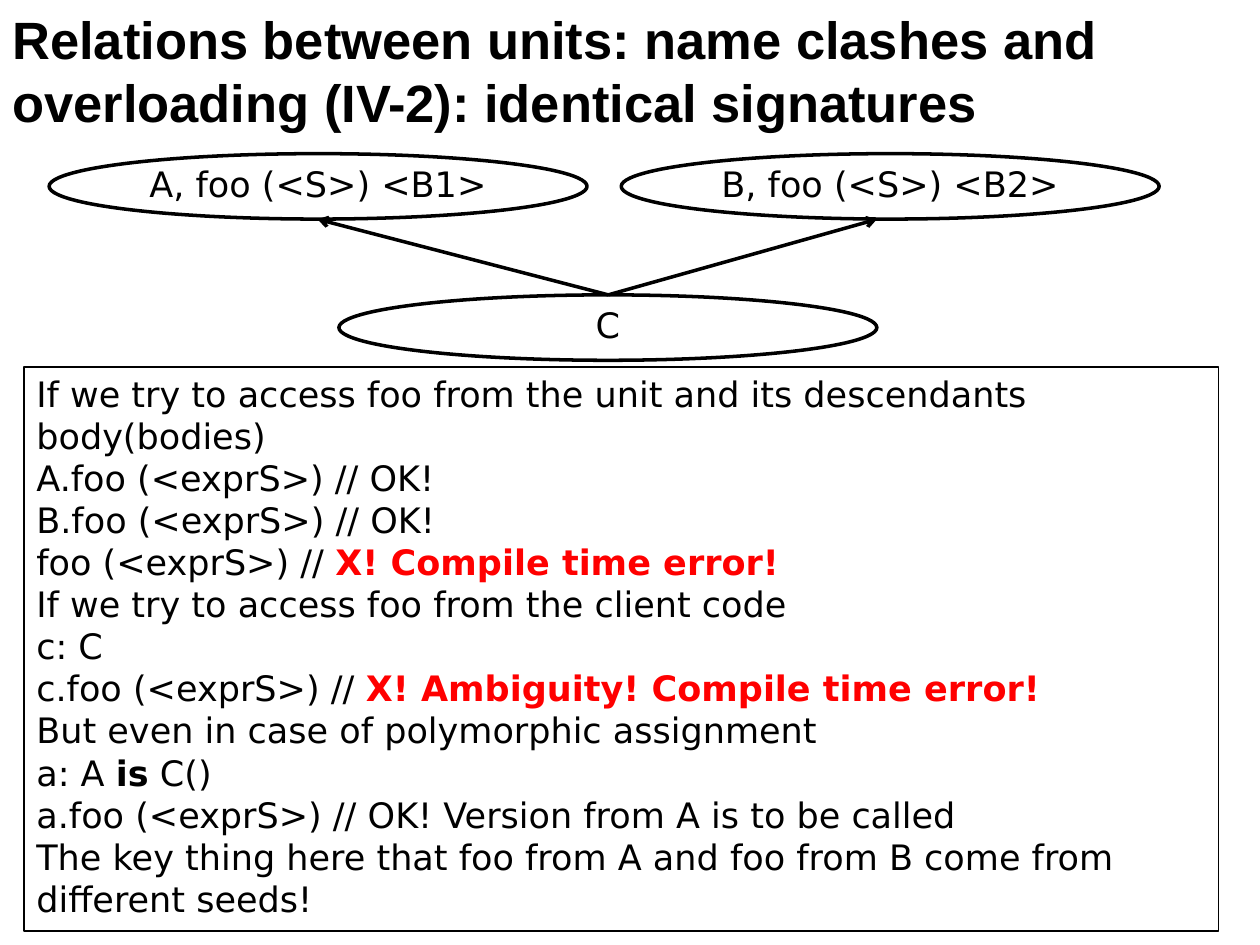
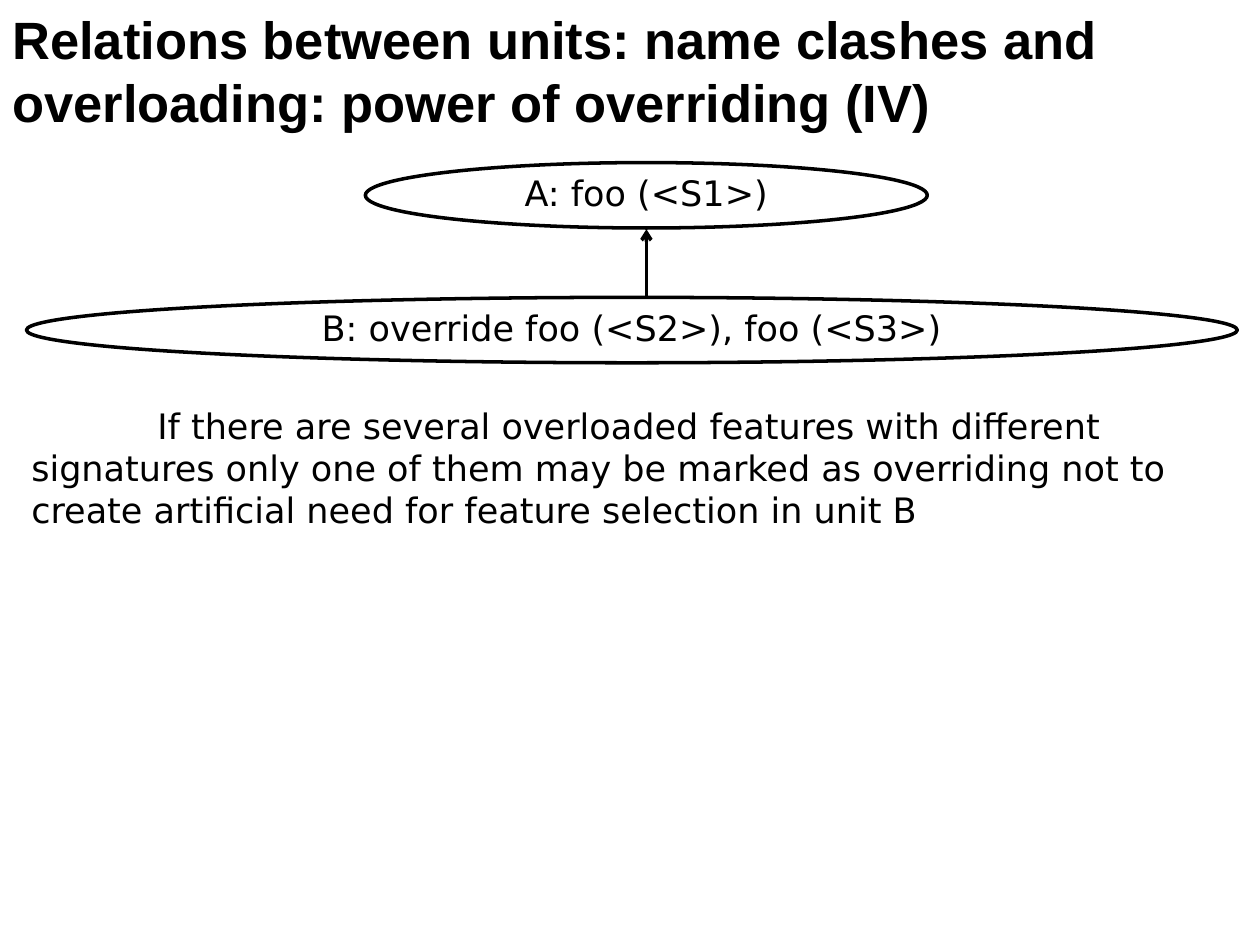
from dataclasses import dataclass

import pptx
import pptx.dml.color
import pptx.enum.shapes
import pptx.enum.text
import pptx.oxml
import pptx.oxml.ns
import pptx.util
from pptx.util import Pt

BLACK = pptx.dml.color.RGBColor(0, 0, 0)
RED = pptx.dml.color.RGBColor(255, 0, 0)
WHITE = pptx.dml.color.RGBColor(255, 255, 255)
HEAD = "Arial"
BODY = "DejaVu Sans"
KINDS = pptx.enum.shapes.MSO_SHAPE
ALIGN = pptx.enum.text.PP_ALIGN
ANCHOR = pptx.enum.text.MSO_ANCHOR


@dataclass(frozen=True)
class Box:
    left: float
    top: float
    width: float
    height: float

    def place(self) -> tuple:
        return tuple(Pt(n) for n in (self.left, self.top, self.width, self.height))


@dataclass(frozen=True)
class Part:
    text: str
    bold: bool = False
    color: pptx.dml.color.RGBColor = BLACK


@dataclass(frozen=True)
class Unit:
    text: str
    box: Box


@dataclass(frozen=True)
class Arrow:
    x1: float
    y1: float
    x2: float
    y2: float


Lines = list[list[Part]]

OVAL = 37.4
TITLE = Box(0, 0.7, 720, 44)
TOP_UNITS = [
    Unit("A, foo (<S>) <B1>", Box(28.1, 87.8, 307.4, OVAL)),
    Unit("B, foo (<S>) <B2>", Box(355, 87.8, 307.4, OVAL)),
    Unit("C", Box(193.7, 168.5, 307.4, OVAL)),
]
TOP_LINKS = [Arrow(347.6, 168.5, x, 125.3) for x in (181.5, 501.1)]
RULES = [
    [Part("If we try to access foo from the unit and its descendants body(bodies)")],
    [Part("A.foo (<exprS>) // OK!")],
    [Part("B.foo (<exprS>) // OK!")],
    [Part("foo (<exprS>) // "), Part("X! Compile time error!", True, RED)],
    [Part("If we try to access foo from the client code")],
    [Part("c: C")],
    [Part("c.foo (<exprS>) // "), Part("X! Ambiguity! Compile time error!", True, RED)],
    [Part("But even in case of polymorphic assignment")],
    [Part("a: A "), Part("is", True), Part(" C()")],
    [Part("a.foo (<exprS>) // OK! Version from A is to be called")],
    [Part("The key thing here that foo from A and foo from B come from different seeds!")],
]
OVER_UNITS = [
    Unit("B: override foo (<S2>), foo (<S3>)", Box(15.1, 169.9, 691.9, OVAL)),
    Unit("A: foo (<S1>)", Box(208.8, 92.9, 321.1, OVAL)),
]
OVER_LINKS = [Arrow(369.4, 169.9, 369.4, 131)]
NOTE = [[Part(
    "If there are several overloaded features with different signatures only one of "
    "them may be marked as overriding not to create artificial need for feature "
    "selection in unit B"
)]]


def write(shape, lines: Lines, font: str = BODY, size: float = 20,
          space=Pt(24), align=ALIGN.LEFT, anchor=ANCHOR.TOP) -> None:
    frame = shape.text_frame
    frame.word_wrap = True
    frame.vertical_anchor = anchor
    for num, line in enumerate(lines):
        para = frame.add_paragraph() if num else frame.paragraphs[0]
        para.alignment = align
        para.line_spacing = space
        for part in line:
            run = para.add_run()
            run.text = part.text
            run.font.name = font
            run.font.size = Pt(size)
            run.font.bold = part.bold
            run.font.color.rgb = part.color


def outline(slide, kind, box: Box, weight: float):
    shape = slide.shapes.add_shape(kind, *box.place())
    shape.shadow.inherit = False
    shape.fill.background()
    shape.line.color.rgb = BLACK
    shape.line.width = Pt(weight)
    return shape


def draw_unit(slide, unit: Unit) -> None:
    oval = outline(slide, KINDS.OVAL, unit.box, 2)
    write(oval, [[Part(unit.text)]], space=0.9, align=ALIGN.CENTER, anchor=ANCHOR.MIDDLE)


def draw_link(slide, link: Arrow) -> None:
    ends = (Pt(n) for n in (link.x1, link.y1, link.x2, link.y2))
    line = slide.shapes.add_connector(pptx.enum.shapes.MSO_CONNECTOR.STRAIGHT, *ends)
    line.line.color.rgb = BLACK
    line.line.width = Pt(2)
    props = line._element.spPr
    tail = pptx.oxml.parse_xml(f'<a:tailEnd {pptx.oxml.ns.nsdecls("a")} type="arrow"/>')
    props.find(pptx.oxml.ns.qn("a:ln")).append(tail)
    props.append(pptx.oxml.parse_xml(f'<a:effectLst {pptx.oxml.ns.nsdecls("a")}/>'))


def add_slide(deck, title: str, units: list[Unit], links: list[Arrow]):
    slide = deck.slides.add_slide(deck.slide_layouts[6])
    slide.background.fill.solid()
    slide.background.fill.fore_color.rgb = WHITE
    head = slide.shapes.add_textbox(*TITLE.place())
    write(head, [[Part(title, True)]], HEAD, 30, Pt(36))
    for unit in units:
        draw_unit(slide, unit)
    for link in links:
        draw_link(slide, link)
    return slide


def main() -> None:
    deck = pptx.Presentation()
    deck.slide_width, deck.slide_height = Pt(720), Pt(540)

    clash = add_slide(
        deck,
        "Relations between units: name clashes and overloading (IV-2): identical signatures",
        TOP_UNITS, TOP_LINKS,
    )
    write(outline(clash, KINDS.RECTANGLE, Box(13.7, 209.5, 682.6, 322.6), 1), RULES)

    power = add_slide(
        deck,
        "Relations between units: name clashes and overloading: power of overriding (IV)",
        OVER_UNITS, OVER_LINKS,
    )
    note = power.shapes.add_textbox(*Box(10.8, 227.5, 697.7, 79.9).place())
    write(note, NOTE)
    props = note.text_frame.paragraphs[0]._p.get_or_add_pPr()
    props.set("marL", "0")
    props.set("indent", str(Pt(72)))

    deck.save("out.pptx")


if __name__ == "__main__":
    main()
